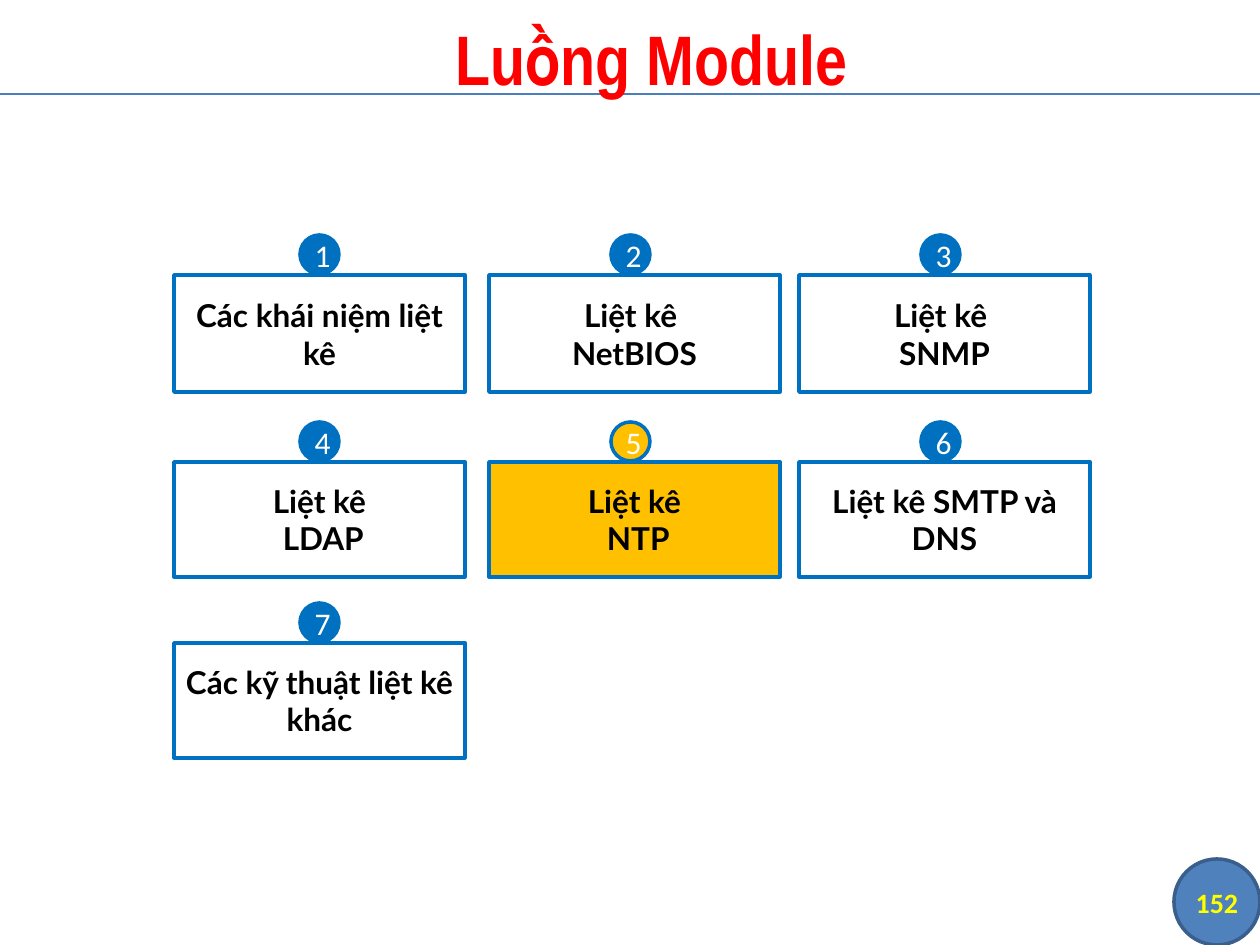
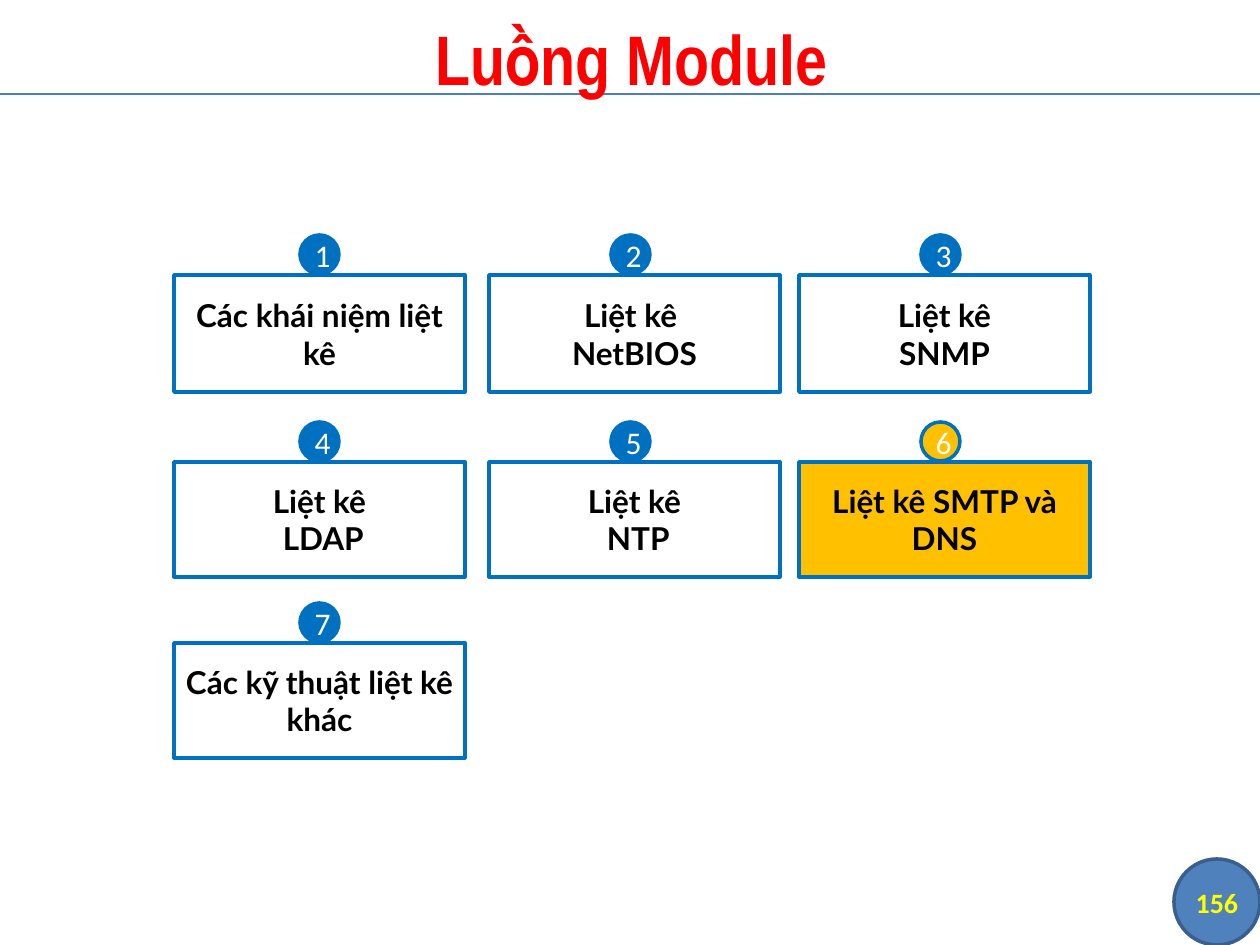
from collections import namedtuple
from dataclasses import dataclass

from lxml.etree import SubElement
from pptx import Presentation
from pptx.dml.color import RGBColor
from pptx.enum.shapes import MSO_CONNECTOR, MSO_SHAPE
from pptx.enum.text import MSO_ANCHOR, PP_ALIGN
from pptx.oxml.ns import qn
from pptx.util import Emu, Pt

Box = namedtuple("Box", "left top width height")
TextStyle = namedtuple("TextStyle", "font size color bold")
Module = namedtuple("Module", "label column row")
Column = namedtuple("Column", "card_left badge_left")
Row = namedtuple("Row", "top height")


@dataclass(frozen=True)
class Theme:
    white: str = "FFFFFF"
    blue: str = "0070C0"
    highlight: str = "FFC000"
    disc: str = "4F81BD"
    disc_edge: str = "3A5F8C"
    rule: str = "4B7EBC"
    outline: float = 2
    hairline: float = 0.75
    title: TextStyle = TextStyle("Arial Narrow", 40, "FF0000", True)
    page: TextStyle = TextStyle("Calibri", 16, "FFFF00", True)
    card: TextStyle = TextStyle("Lato", 18, "000000", True)
    badge: TextStyle = TextStyle("Calibri", 18, "FFFFFF", False)


THEME = Theme()
PIXELS_PER_INCH = 126
SLIDE = Box(0, 0, 1260, 945)
RULE_TOP = 94
PAGE_DISC = Box(1174, 859, 86, 86)
CARD_WIDTH = 291
BADGE_SIZE = 39
BADGE_RISE = 40
CARD_INSETS = (9, 5)
TITLE_INSETS = (13, 6)

COLUMNS = (Column(174, 300), Column(489, 611), Column(799, 921))
ROWS = (Row(275, 117), Row(462, 115), Row(643, 115))


def px(length):
    return Emu(round(length * 914400 / PIXELS_PER_INCH))


def color(value):
    return RGBColor.from_string(value)


def write_text(shape, text, style, insets=(0, 0)):
    text_frame = shape.text_frame
    text_frame.word_wrap = True
    text_frame.vertical_anchor = MSO_ANCHOR.MIDDLE
    text_frame.margin_left = text_frame.margin_right = px(insets[0])
    text_frame.margin_top = text_frame.margin_bottom = px(insets[1])
    text_frame.text = text
    for paragraph in text_frame.paragraphs:
        paragraph.alignment = PP_ALIGN.CENTER
        for run in paragraph.runs:
            run.font.name = style.font
            run.font.size = Pt(style.size)
            run.font.bold = style.bold
            run.font.color.rgb = color(style.color)


def add_outlined(slide, kind, box, fill, line):
    shape = slide.shapes.add_shape(kind, *map(px, box))
    shape.shadow.inherit = False
    shape.fill.solid()
    shape.fill.fore_color.rgb = color(fill)
    shape.line.color.rgb = color(line)
    shape.line.width = Pt(THEME.outline)
    return shape


def add_label(slide, box, text, style, insets=(0, 0)):
    label = slide.shapes.add_textbox(*map(px, box))
    write_text(label, text, style, insets)


def add_rule(slide, top):
    rule = slide.shapes.add_connector(
        MSO_CONNECTOR.STRAIGHT, px(0), px(top), px(SLIDE.width), px(top)
    )
    rule.line.color.rgb = color(THEME.rule)
    rule.line.width = Pt(THEME.hairline)
    SubElement(rule._element.spPr, qn("a:effectLst"))


def add_page_number(slide, box, number):
    add_outlined(slide, MSO_SHAPE.FLOWCHART_CONNECTOR, box, THEME.disc, THEME.disc_edge)
    add_label(slide, box, str(number), THEME.page)


def add_module(slide, number, module, active):
    column, row = COLUMNS[module.column], ROWS[module.row]
    card_box = Box(column.card_left, row.top, CARD_WIDTH, row.height)
    badge_box = Box(column.badge_left, row.top - BADGE_RISE, BADGE_SIZE, BADGE_SIZE)
    card_fill, badge_fill = (
        (THEME.highlight, THEME.highlight) if active else (THEME.white, THEME.blue)
    )
    card = add_outlined(slide, MSO_SHAPE.RECTANGLE, card_box, card_fill, THEME.blue)
    write_text(card, module.label, THEME.card, CARD_INSETS)
    badge = add_outlined(slide, MSO_SHAPE.OVAL, badge_box, badge_fill, THEME.blue)
    write_text(badge, str(number), THEME.badge, CARD_INSETS)


def add_module_slide(presentation, page, title_left, active_number, snmp_label):
    slide = presentation.slides.add_slide(presentation.slide_layouts[6])
    add_rule(slide, RULE_TOP)
    add_label(slide, Box(title_left, 21, 945, 73), "Luồng Module", THEME.title, TITLE_INSETS)
    add_page_number(slide, PAGE_DISC, page)
    labels = (
        "Các khái niệm liệt kê",
        "Liệt kê \nNetBIOS",
        snmp_label,
        "Liệt kê\n LDAP",
        "Liệt kê\n NTP",
        "Liệt kê SMTP và DNS",
        "Các kỹ thuật liệt kê khác",
    )
    for index, label in enumerate(labels):
        row, column = divmod(index, len(COLUMNS))
        number = index + 1
        add_module(slide, number, Module(label, column, row), number == active_number)


def main():
    presentation = Presentation()
    presentation.slide_width = px(SLIDE.width)
    presentation.slide_height = px(SLIDE.height)
    add_module_slide(presentation, 152, 179, 5, "Liệt kê \nSNMP")
    add_module_slide(presentation, 156, 159, 6, "Liệt kê\nSNMP")
    presentation.save("out.pptx")


if __name__ == "__main__":
    main()
